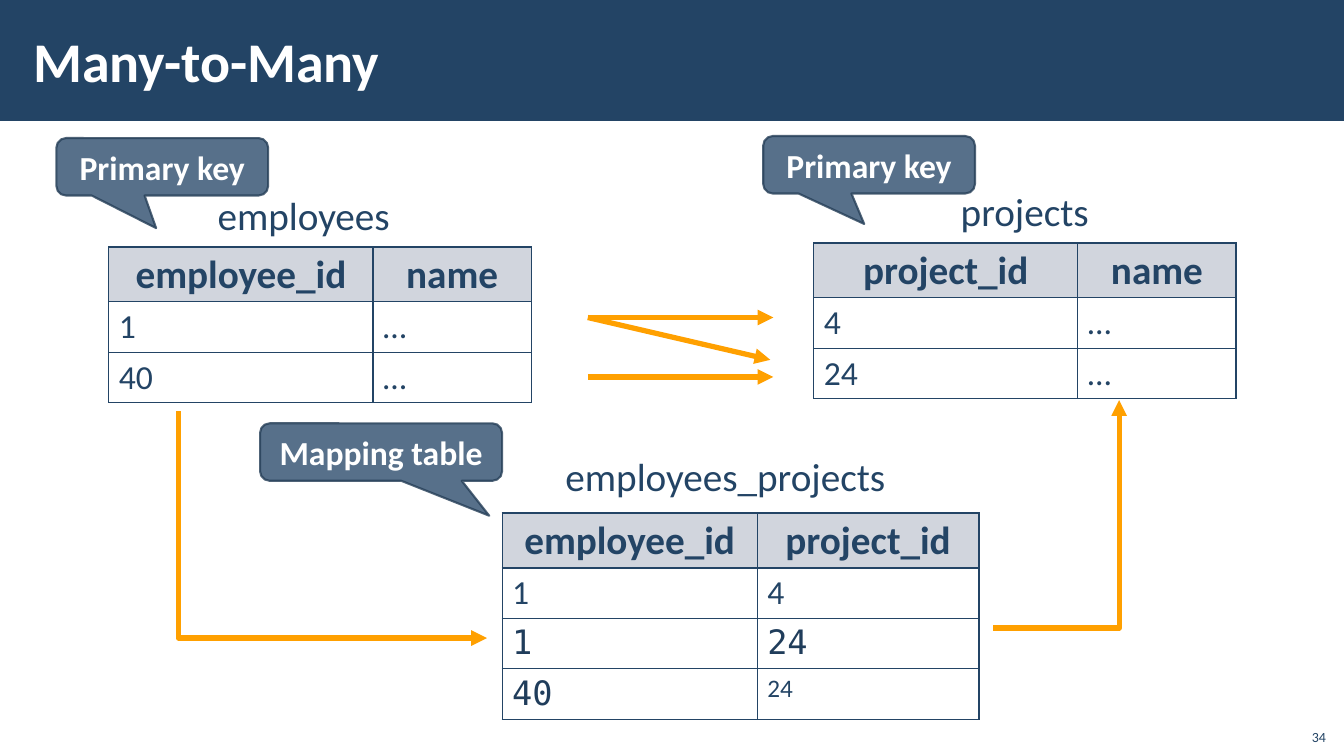
from dataclasses import dataclass

import pptx
import pptx.dml.color
import pptx.enum.shapes
import pptx.enum.text
import pptx.oxml
import pptx.oxml.ns
import pptx.util
from pptx.util import Inches

ALIGN = pptx.enum.text.PP_ALIGN
ANCHOR = pptx.enum.text.MSO_ANCHOR
SHAPE = pptx.enum.shapes.MSO_SHAPE
CONNECTOR = pptx.enum.shapes.MSO_CONNECTOR


@dataclass(frozen=True)
class Theme:
    font: str = "Calibri"
    code_font: str = "DejaVu Sans Mono"
    navy: str = "234465"
    code_navy: str = "203D5B"
    white: str = "FFFFFF"
    header: str = "D1D5DD"
    orange: str = "FFA000"
    callout: str = "4F6984"
    callout_edge: str = "253E57"
    title_size: int = 40
    heading_size: int = 28
    body_size: int = 24
    small_size: int = 18
    number_size: int = 10


THEME = Theme()


def rgb(value):
    return pptx.dml.color.RGBColor.from_string(value)


def sub_element(parent, tag, **attributes):
    element = pptx.oxml.ns.qn(tag)
    child = parent.makeelement(element, attributes)
    parent.append(child)
    return child


def write(frame, text, size, color=THEME.navy, bold=False, font=THEME.font, align=ALIGN.LEFT):
    frame.text = text
    para = frame.paragraphs[0]
    para.alignment = align
    for span in para.runs:
        span.font.name = font
        span.font.size = pptx.util.Pt(size)
        span.font.bold = bold
        span.font.color.rgb = rgb(color)
    return para


def add_label(page, area, text, size, wrap=False, anchor=ANCHOR.TOP, **style):
    box = page.shapes.add_textbox(*map(Inches, area))
    box.text_frame.word_wrap = wrap
    box.text_frame.vertical_anchor = anchor
    write(box.text_frame, text, size, **style)
    return box


def set_alpha(fill_parent, percent):
    color = fill_parent.find(".//" + pptx.oxml.ns.qn("a:srgbClr"))
    sub_element(color, "a:alpha", val=str(percent * 1000))


def add_callout(page, area, tip, text):
    callout = page.shapes.add_shape(SHAPE.ROUNDED_RECTANGULAR_CALLOUT, *map(Inches, area))
    callout.shadow.inherit = False
    callout.adjustments[0], callout.adjustments[1] = tip
    callout.adjustments[2] = 0.167
    callout.fill.solid()
    callout.fill.fore_color.rgb = rgb(THEME.callout)
    callout.line.color.rgb = rgb(THEME.callout_edge)
    callout.line.width = pptx.util.Pt(1.5)
    properties = callout._element.spPr
    set_alpha(properties.find(pptx.oxml.ns.qn("a:solidFill")), 95)
    set_alpha(properties.find(pptx.oxml.ns.qn("a:ln")), 80)
    callout.text_frame.vertical_anchor = ANCHOR.MIDDLE
    write(callout.text_frame, text, THEME.body_size, THEME.white, bold=True, align=ALIGN.CENTER)


def add_arrow(page, start, end, kind=CONNECTOR.STRAIGHT):
    arrow = page.shapes.add_connector(kind, *map(Inches, start + end))
    arrow.line.color.rgb = rgb(THEME.orange)
    arrow.line.width = pptx.util.Pt(3.75)
    sub_element(arrow.line._get_or_add_ln(), "a:tailEnd", type="triangle")
    sub_element(arrow._element.spPr, "a:effectLst")
    return arrow


def add_elbow(page, start, end, vertical_first=False):
    """One-corner arrow; going down first is a sideways one turned by 270 degrees."""
    if vertical_first:
        middle_x, middle_y = (start[0] + end[0]) / 2, (start[1] + end[1]) / 2
        half_x, half_y = (end[0] - start[0]) / 2, (end[1] - start[1]) / 2
        start = (middle_x + half_y, middle_y - half_x)
        end = (middle_x - half_y, middle_y + half_x)
    arrow = add_arrow(page, start, end, CONNECTOR.ELBOW)
    properties = arrow._element.spPr
    properties.find(pptx.oxml.ns.qn("a:prstGeom")).set("prst", "bentConnector2")
    if vertical_first:
        properties.find(pptx.oxml.ns.qn("a:xfrm")).set("rot", str(270 * 60000))


def add_borders(cell):
    properties = cell._tc.get_or_add_tcPr()
    for side in ("a:lnL", "a:lnR", "a:lnT", "a:lnB"):
        line = sub_element(properties, side, w=str(pptx.util.Pt(1)))
        fill = sub_element(line, "a:solidFill")
        sub_element(fill, "a:srgbClr", val=THEME.navy)


def add_data_table(page, left, top, widths, rows, styles=None):
    """Styles maps (row, column) to text settings that differ from the body text."""
    heights = [0.54] + [0.5] * (len(rows) - 1)
    area = (left, top, sum(widths), sum(heights))
    table = page.shapes.add_table(len(rows), len(widths), *map(Inches, area)).table
    table.first_row = table.horz_banding = False
    for column, width in zip(table.columns, widths):
        column.width = Inches(width)
    for row, height in zip(table.rows, heights):
        row.height = Inches(height)
    for r, values in enumerate(rows):
        for c, value in enumerate(values):
            cell = table.cell(r, c)
            add_borders(cell)
            if r == 0:
                cell.fill.solid()
                cell.fill.fore_color.rgb = rgb(THEME.header)
                cell.margin_left = cell.margin_right = Inches(0.17)
                para = write(cell.text_frame, value, THEME.heading_size, bold=True, align=ALIGN.CENTER)
                para.line_spacing = 0.95
            else:
                cell.fill.background()
                style = {"size": THEME.body_size} | (styles or {}).get((r, c), {})
                write(cell.text_frame, value, **style)


def main():
    deck = pptx.Presentation()
    deck.slide_width, deck.slide_height = Inches(13.33), Inches(7.5)
    page = deck.slides.add_slide(deck.slide_layouts[6])

    # Title band and page number
    band = page.shapes.add_shape(SHAPE.RECTANGLE, 0, 0, deck.slide_width, Inches(1.2))
    band.shadow.inherit = False
    band.fill.solid()
    band.fill.fore_color.rgb = rgb(THEME.navy)
    band.line.fill.background()
    title = add_label(page, (0.21, 0.11, 10.63, 0.97), "Many-to-Many", THEME.title_size,
                      wrap=True, anchor=ANCHOR.MIDDLE, color=THEME.white, bold=True)
    title.text_frame.margin_left = title.text_frame.margin_right = Inches(0.12)
    add_label(page, (12.85, 7.12, 0.4, 0.32), "34", THEME.number_size,
              wrap=True, anchor=ANCHOR.BOTTOM, align=ALIGN.RIGHT)

    # Row-to-row links
    for end in ((7.67, 3.15), (7.64, 3.57)):
        add_arrow(page, (5.83, 3.15), end)
    add_arrow(page, (5.83, 3.74), (7.67, 3.74))

    # Links through the mapping table
    add_elbow(page, (1.77, 4.08), (4.83, 6.33), vertical_first=True)
    add_elbow(page, (9.85, 6.23), (11.1, 3.97))

    # Table names
    for area, name in (
        ((2.06, 1.85, 1.93, 0.57), "employees"),
        ((9.43, 1.81, 1.49, 0.57), "projects"),
        ((5.51, 4.44, 3.41, 0.57), "employees_projects"),
    ):
        add_label(page, area, name, THEME.heading_size)

    # Callouts
    add_callout(page, (0.56, 1.37, 2.1, 0.57), (-0.029, 1.067), "Primary key")
    add_callout(page, (7.57, 1.35, 2.1, 0.57), (-0.023, 1.03), "Primary key")
    add_callout(page, (2.58, 4.2, 2.4, 0.57), (0.447, 1.108), "Mapping table")

    # Tables
    code = {"font": THEME.code_font, "color": THEME.code_navy}
    entity_widths = (2.62, 1.57)
    add_data_table(page, 1.08, 2.45, entity_widths,
                   [("employee_id", "name"), ("1", "…"), ("40", "…")])
    add_data_table(page, 8.07, 2.41, entity_widths,
                   [("project_id", "name"), ("4", "…"), ("24", "…")])
    add_data_table(page, 4.98, 5.09, (2.53, 2.2),
                   [("employee_id", "project_id"), ("1", "4"), ("1", "24"), ("40", "24")],
                   {(2, 0): code, (2, 1): code, (3, 0): code, (3, 1): {"size": THEME.small_size}})

    deck.save("out.pptx")


if __name__ == "__main__":
    main()
